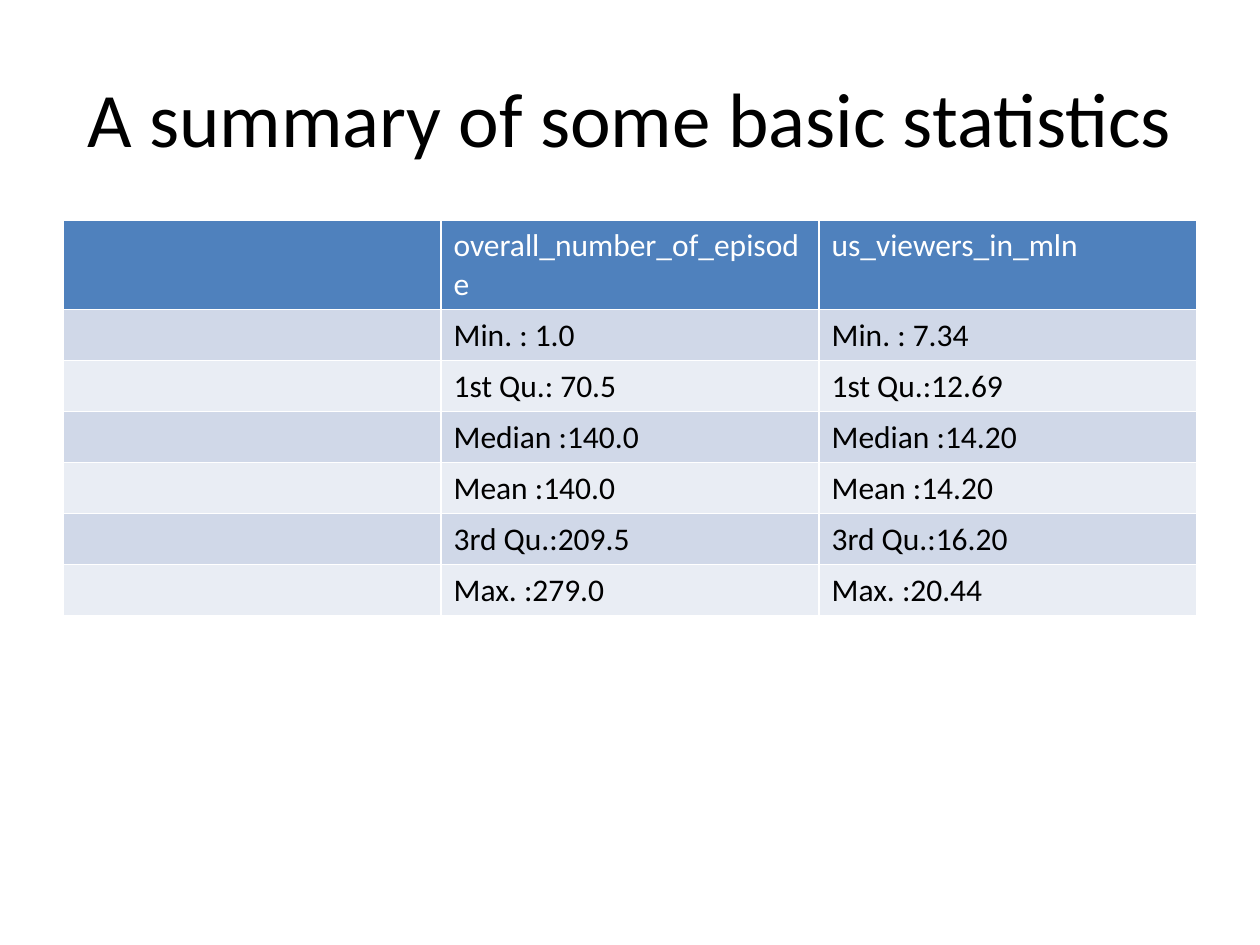
"""Build a slide with a table of basic statistics."""
from pptx import Presentation
from pptx.dml.color import RGBColor
from pptx.enum.text import MSO_ANCHOR, PP_ALIGN
from pptx.util import Pt

TITLE = "A summary of some basic statistics"
ROWS = [
    ("", "overall_number_of_episode", "us_viewers_in_mln"),
    ("", "Min. : 1.0", "Min. : 7.34"),
    ("", "1st Qu.: 70.5", "1st Qu.:12.69"),
    ("", "Median :140.0", "Median :14.20"),
    ("", "Mean :140.0", "Mean :14.20"),
    ("", "3rd Qu.:209.5", "3rd Qu.:16.20"),
    ("", "Max. :279.0", "Max. :20.44"),
]
FONT = "Calibri"
BLACK = RGBColor(0x00, 0x00, 0x00)
WHITE = RGBColor(0xFF, 0xFF, 0xFF)
BLUE = RGBColor(0x4F, 0x81, 0xBD)
BANDS = (RGBColor(0xE9, 0xED, 0xF4), RGBColor(0xD0, 0xD8, 0xE8))
LEFT, WIDTH = 36, 648
HEAD, ROW = 51, 29.15


def add_run(para, text, size, color):
    run = para.add_run()
    run.text = text
    font = run.font
    font.name, font.size, font.bold = FONT, Pt(size), False
    font.color.rgb = color


def add_title(slide):
    box = slide.shapes.add_textbox(Pt(LEFT), Pt(21.6), Pt(WIDTH), Pt(90))
    frame = box.text_frame
    frame.word_wrap = True
    frame.vertical_anchor = MSO_ANCHOR.MIDDLE
    para = frame.paragraphs[0]
    para.alignment = PP_ALIGN.CENTER
    add_run(para, TITLE, 44, BLACK)


def add_stats(slide):
    tall = HEAD + ROW * (len(ROWS) - 1)
    table = slide.shapes.add_table(
        len(ROWS), len(ROWS[0]), Pt(LEFT), Pt(126), Pt(WIDTH), Pt(tall)
    ).table
    for i, row in enumerate(ROWS):
        table.rows[i].height = Pt(ROW if i else HEAD)
        for j, text in enumerate(row):
            cell = table.cell(i, j)
            cell.fill.solid()
            cell.fill.fore_color.rgb = BANDS[i % 2] if i else BLUE
            if text:
                para = cell.text_frame.paragraphs[0]
                add_run(para, text, 18, BLACK if i else WHITE)


def main():
    deck = Presentation()
    deck.slide_width, deck.slide_height = Pt(720), Pt(540)
    slide = deck.slides.add_slide(deck.slide_layouts[6])
    add_title(slide)
    add_stats(slide)
    deck.save("out.pptx")


if __name__ == "__main__":
    main()
